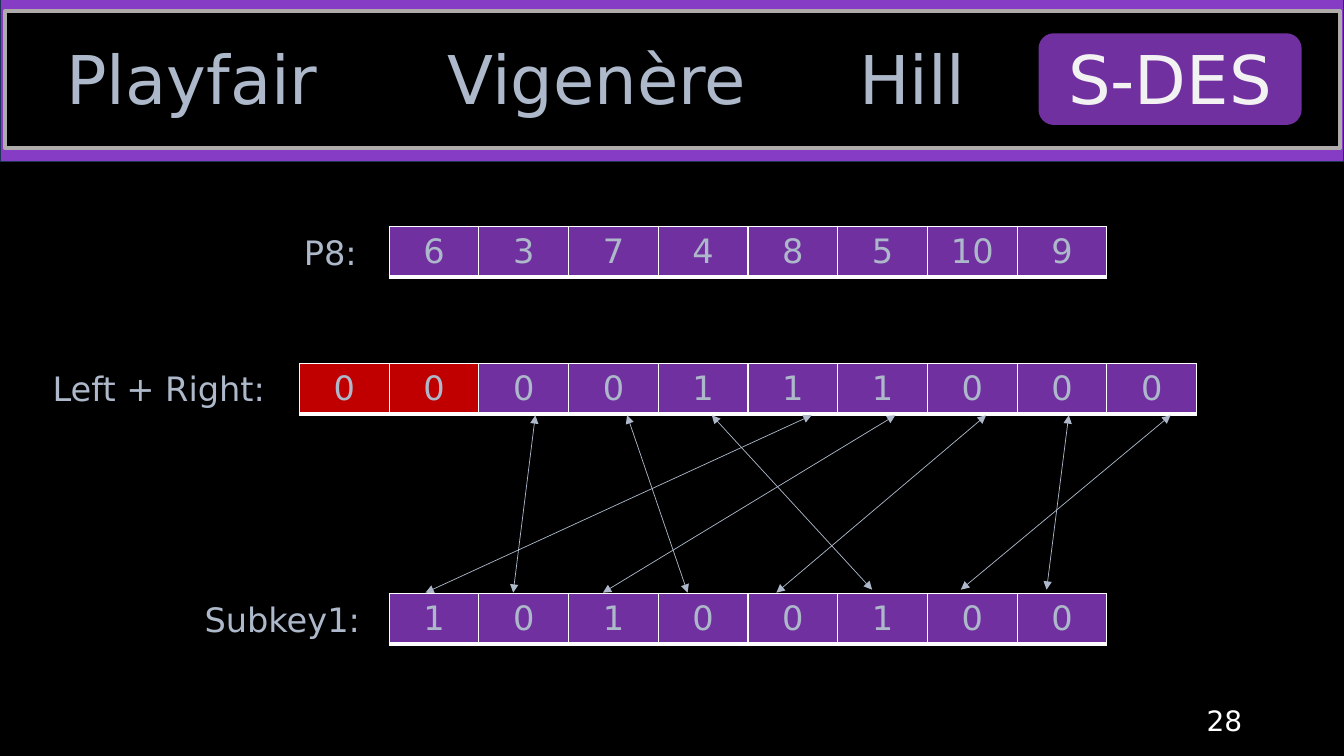
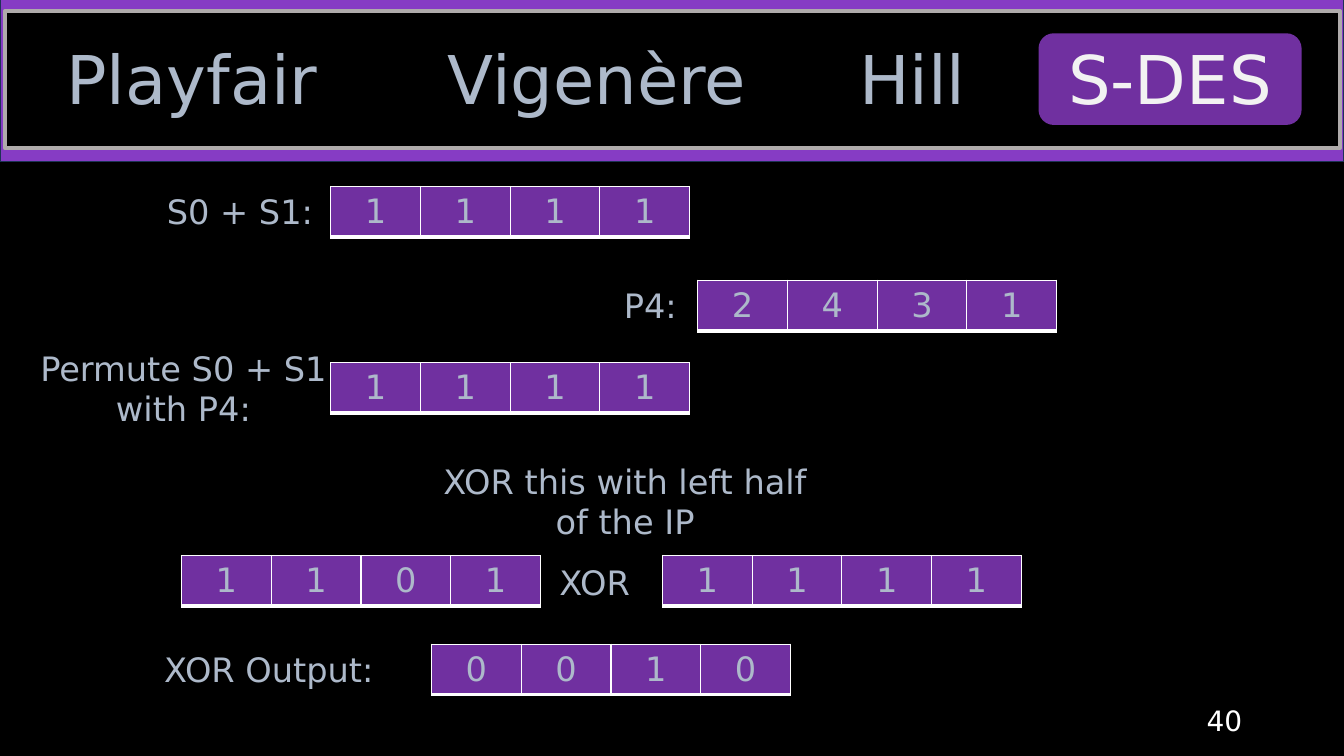
from lxml.etree import SubElement
from pptx import Presentation
from pptx.dml.color import RGBColor
from pptx.enum.shapes import MSO_CONNECTOR, MSO_SHAPE
from pptx.enum.text import MSO_ANCHOR, MSO_AUTO_SIZE, PP_ALIGN
from pptx.oxml.ns import qn
from pptx.util import Inches, Pt

# Theme
BLACK = RGBColor(0x00, 0x00, 0x00)
WHITE = RGBColor(0xFF, 0xFF, 0xFF)
VIOLET = RGBColor(0x86, 0x3C, 0xC4)
PURPLE = RGBColor(0x70, 0x30, 0xA0)
RED = RGBColor(0xC0, 0x00, 0x00)
NAVY = RGBColor(0x1E, 0x32, 0x56)
GRAY = RGBColor(0xAF, 0xAB, 0xAB)
MIST = RGBColor(0xAD, 0xB9, 0xCA)
PALE = RGBColor(0xF2, 0xF2, 0xF2)
FONT = "DejaVu Sans"
CENTER, LEFT, RIGHT = PP_ALIGN.CENTER, PP_ALIGN.LEFT, PP_ALIGN.RIGHT

CELL = 0.89
ROW = 0.5
TAB_TOP, TAB_HEIGHT = 0.32, 0.91

# Content: tabs are (text, left, width)
TABS = [("Playfair", 0.24, 3.33), ("Vigenère", 4.05, 3.74), ("Hill", 8.27, 1.56)]
ACTIVE_TAB = ("S-DES", 10.3, 2.61)

# Labels are (text, left, top, width, rows, alignment);
# bit rows are (values, left, top, number of dropped cells)
SLIDES = [
    {
        "number": "28",
        "labels": [
            ("P8: ", 2.76, 2.25, 1.14, 1, CENTER),
            ("Left + Right:", 0.18, 3.6, 2.79, 1, CENTER),
            ("Subkey1:", 1.72, 5.89, 2.16, 1, CENTER),
        ],
        "bits": [
            ("6 3 7 4 8 5 10 9", 3.86, 2.25, 0),
            ("0 0 0 0 1 1 1 0 0 0", 2.97, 3.61, 2),
            ("1 0 1 0 0 1 0 0", 3.86, 5.89, 0),
        ],
        # Each arrow is (x in the upper row, x in the lower row, lower y)
        "arrows": [
            (8.05, 4.22, 5.88), (5.31, 5.09, 5.88), (8.88, 5.98, 5.88),
            (6.22, 6.82, 5.88), (9.78, 7.7, 5.88), (7.06, 8.65, 5.85),
            (11.61, 9.53, 5.85), (10.6, 10.38, 5.85),
        ],
    },
    {
        "number": "40",
        "labels": [
            ("S0 + S1:", 1.32, 1.84, 2.12, 1, CENTER),
            ("P4:", 5.92, 2.78, 1.06, 1, CENTER),
            ("Permute S0 + S1 with P4:", 0.27, 3.4, 3.1, 2, CENTER),
            ("XOR this with left half of the IP", 4.23, 4.52, 3.94, 2, CENTER),
            ("XOR", 5.45, 5.53, 1.2, 1, LEFT),
            ("XOR Output:", 1.53, 6.39, 2.69, 1, LEFT),
        ],
        "bits": [
            ("1 1 1 1", 3.28, 1.85, 0),
            ("2 4 3 1", 6.92, 2.78, 0),
            ("1 1 1 1", 3.28, 3.6, 0),
            ("1 1 0 1", 1.8, 5.51, 0),
            ("1 1 1 1", 6.57, 5.51, 0),
            ("0 0 1 0", 4.28, 6.39, 0),
        ],
        "arrows": [],
    },
]
ARROW_TOP = 4.12


def inches(*lengths):
    return [Inches(length) for length in lengths]


def write(frame, text, size, color, align=CENTER, anchor=MSO_ANCHOR.TOP):
    frame.word_wrap = True
    frame.vertical_anchor = anchor
    frame.text = text
    style(frame.paragraphs[0], size, color, align)


def style(para, size, color, align):
    para.alignment = align
    para.font.name = FONT
    para.font.size = Pt(size)
    para.font.color.rgb = color


def add_label(page, text, place, size=24, color=MIST, align=CENTER):
    box = page.shapes.add_textbox(*inches(*place))
    write(box.text_frame, text, size, color, align)
    box.text_frame.auto_size = MSO_AUTO_SIZE.SHAPE_TO_FIT_TEXT


def add_panel(page, kind, place, fill, line=None, width=0):
    panel = page.shapes.add_shape(kind, *inches(*place))
    panel.shadow.inherit = False
    panel.fill.solid()
    panel.fill.fore_color.rgb = fill
    if line is None:
        panel.line.fill.background()
    else:
        panel.line.color.rgb = line
        panel.line.width = Pt(width)


def add_header(page):
    add_panel(page, MSO_SHAPE.RECTANGLE, (0, -0.02, 13.33, 1.62), VIOLET, NAVY, 1)
    add_panel(page, MSO_SHAPE.RECTANGLE, (0.05, 0.11, 13.24, 1.36), BLACK, GRAY, 3)
    for text, left, width in TABS:
        add_label(page, text, (left, TAB_TOP, width, TAB_HEIGHT), 48)

    # The active tab is the slide title, brought in front of its panel
    text, left, width = ACTIVE_TAB
    add_panel(page, MSO_SHAPE.ROUNDED_RECTANGLE, (left, 0.33, width, TAB_HEIGHT), PURPLE)
    title = page.shapes.title
    title.left, title.top, title.width, title.height = inches(
        left, TAB_TOP, width, TAB_HEIGHT)
    write(title.text_frame, text, 48, PALE)
    title.text_frame.auto_size = MSO_AUTO_SIZE.NONE
    title.element.getparent().append(title.element)


def add_borders(cell):
    props = cell._tc.get_or_add_tcPr()
    for side, width in (("L", 1), ("R", 1), ("T", 1), ("B", 3)):
        line = SubElement(props, qn(f"a:ln{side}"), w=str(Pt(width)))
        fill = SubElement(line, qn("a:solidFill"))
        SubElement(fill, qn("a:srgbClr"), val=str(WHITE))


def add_bits(page, values, left, top, dropped):
    bits = values.split()
    table = page.shapes.add_table(
        1, len(bits), *inches(left, top, CELL * len(bits), ROW)).table
    table.first_row = table.horz_banding = False
    for index, bit in enumerate(bits):
        table.columns[index].width = Inches(CELL)
        cell = table.cell(0, index)
        cell.text = bit
        cell.vertical_anchor = MSO_ANCHOR.MIDDLE
        style(cell.text_frame.paragraphs[0], 24, MIST, CENTER)
        add_borders(cell)
        cell.fill.solid()
        cell.fill.fore_color.rgb = RED if index < dropped else PURPLE


def add_arrow(page, upper_x, lower_x, lower_y):
    arrow = page.shapes.add_connector(
        MSO_CONNECTOR.STRAIGHT, *inches(upper_x, ARROW_TOP, lower_x, lower_y))
    arrow.line.color.rgb = MIST
    arrow.line.width = Pt(0.5)
    line = arrow.line._get_or_add_ln()
    for end in ("a:headEnd", "a:tailEnd"):
        SubElement(line, qn(end), type="triangle")
    SubElement(arrow.element.spPr, qn("a:effectLst"))


def add_number(page, number):
    box = page.shapes.add_textbox(*inches(9.42, 6.95, 3, 0.4))
    write(box.text_frame, number, 20, WHITE, RIGHT, MSO_ANCHOR.MIDDLE)


def main():
    deck = Presentation()
    deck.slide_width, deck.slide_height = inches(13.33, 7.5)
    backdrop = deck.slide_master.background.fill
    backdrop.solid()
    backdrop.fore_color.rgb = BLACK
    title_only = deck.slide_layouts.get_by_name("Title Only")

    for content in SLIDES:
        page = deck.slides.add_slide(title_only)
        add_header(page)
        for text, left, top, width, rows, align in content["labels"]:
            add_label(page, text, (left, top, width, ROW * rows), align=align)
        for bits in content["bits"]:
            add_bits(page, *bits)
        for arrow in content["arrows"]:
            add_arrow(page, *arrow)
        add_number(page, content["number"])

    deck.save("out.pptx")


if __name__ == "__main__":
    main()
